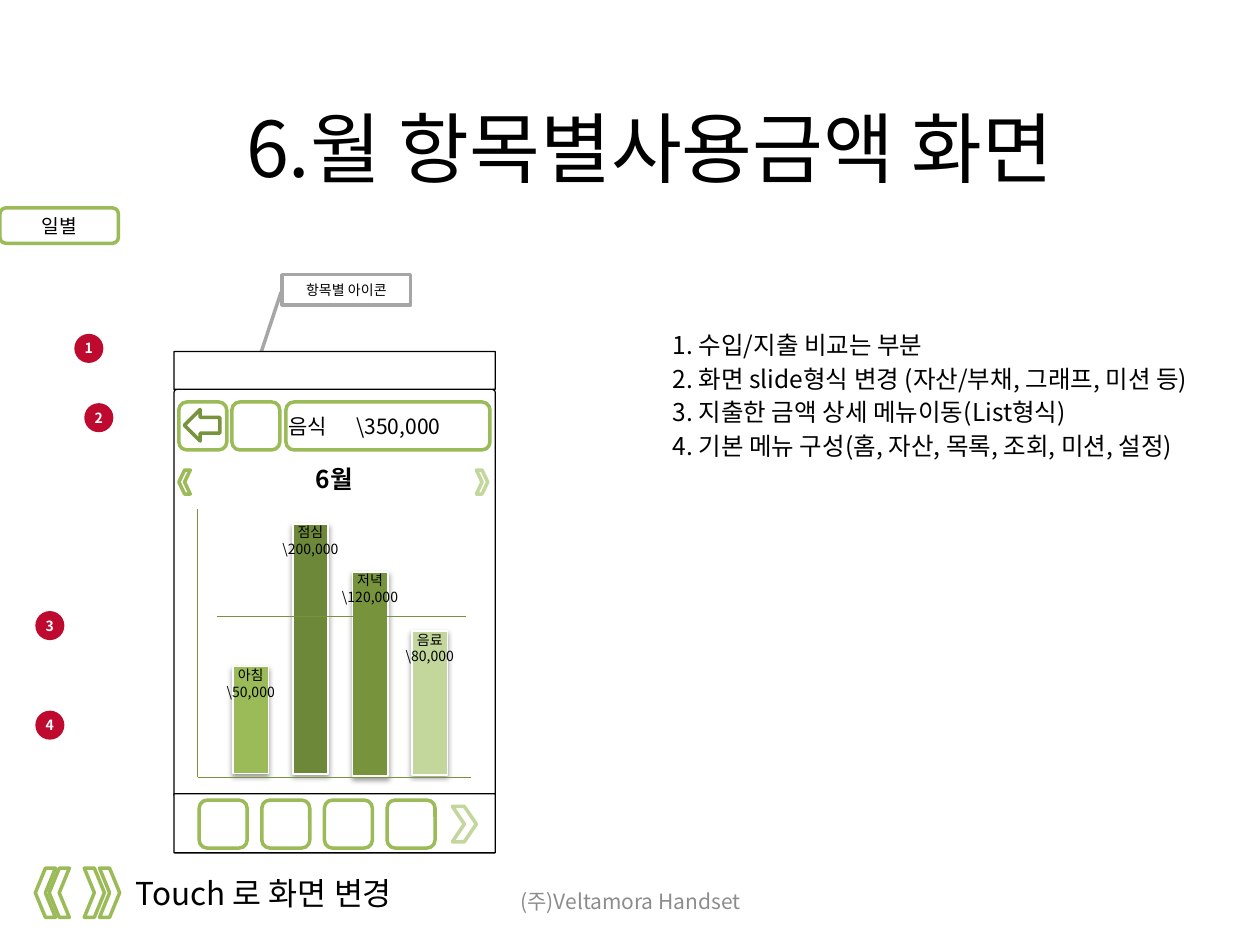
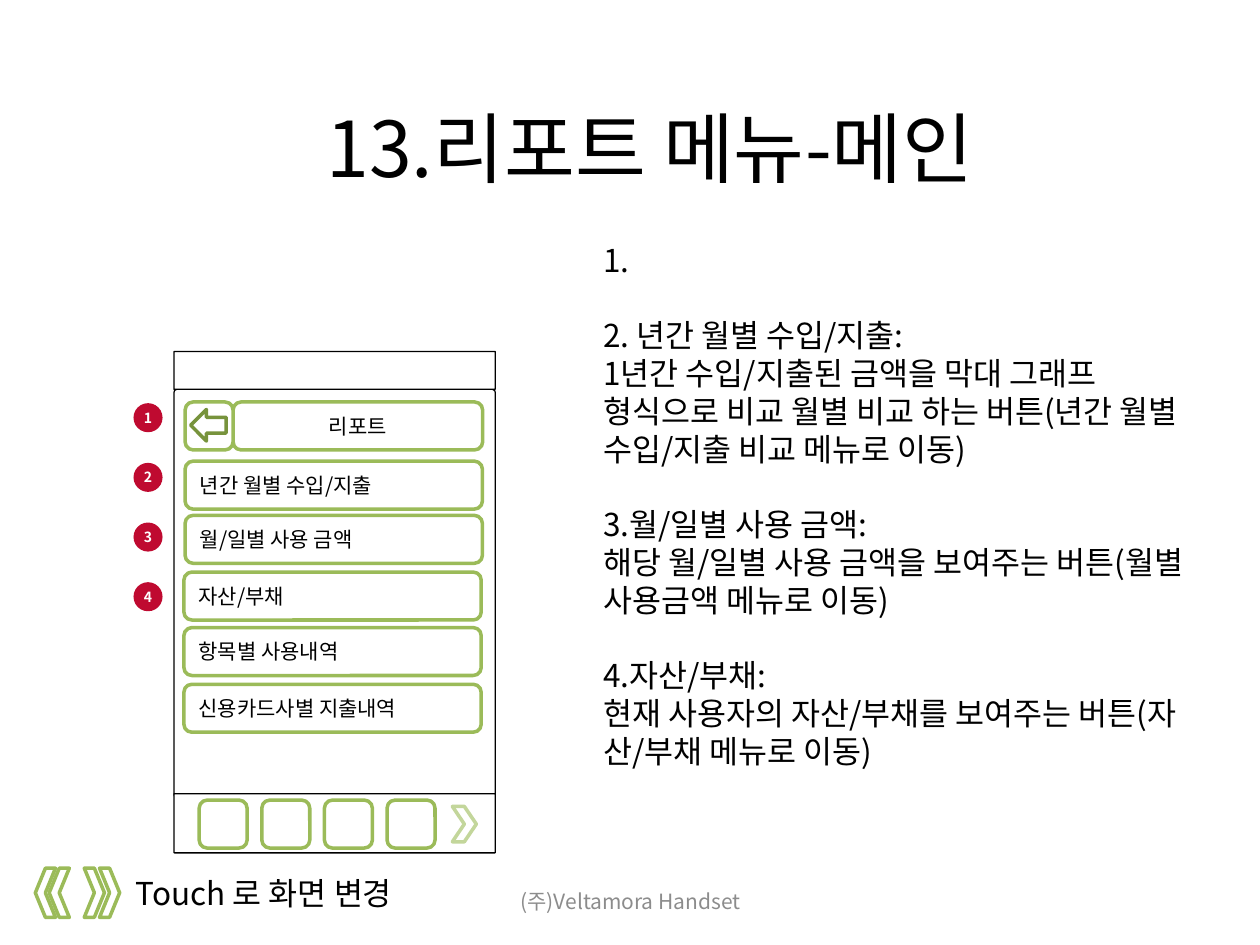
import dataclasses
import typing

import lxml.etree
import pptx
import pptx.dml.color
import pptx.enum.shapes
import pptx.enum.text
import pptx.oxml.ns
import pptx.util

Pt = pptx.util.Pt
Kind = pptx.enum.shapes.MSO_SHAPE
Align = pptx.enum.text.PP_ALIGN
Anchor = pptx.enum.text.MSO_ANCHOR
qn = pptx.oxml.ns.qn

FONT = "Noto Sans CJK KR"
COLORS = {
    "white": "FFFFFF", "black": "000000", "green": "9BBB59",
    "pale": "C3D69B", "olive": "77933C", "moss": "6D8838",
    "red": "BF0A30", "gray": "A6A6A6", "foot": "8C8C8C",
}
ROW = 229.7
SIDE = 27.4


@dataclasses.dataclass(frozen=True)
class Box:
    x: float
    y: float
    w: float
    h: float


@dataclasses.dataclass(frozen=True)
class Bar:
    label: str
    top: float
    high: float
    color: str


@dataclasses.dataclass(frozen=True)
class Badge:
    x: float
    y: float


PANES = [Box(99.4, 222.5, 183.6, 233.3), Box(99.4, 453.6, 183.6, 33.8),
         Box(99.4, 200.9, 183.6, 21.6)]
BARS = [
    Bar("아침\n\\50,000", 380.9, 61.2, "green"),
    Bar("점심\n\\200,000", 299.5, 142.6, "moss"),
    Bar("저녁\n\\120,000", 326.9, 116.6, "olive"),
    Bar("음료\n\\80,000", 360.7, 82.1, "pale"),
]
AXES = [(113, 290.9, 113, 444.2), (113, 444.2, 269.3, 444.2),
        (123.8, 352.1, 266.4, 352.1)]
MENU = [
    ("년간 월별 수입/지출", 105.8, 263.5),
    ("월/일별 사용 금액", 105.8, 294.5),
    ("자산/부채", 105.1, 326.9),
    ("항목별 사용내역", 105.1, 358.6),
    ("신용카드사별 지출내역", 105.1, 391),
]
USAGE = """1. 수입/지출 비교는 부분
2. 화면 slide형식 변경 (자산/부채, 그래프, 미션 등)
3. 지출한 금액 상세 메뉴이동(List형식)
4. 기본 메뉴 구성(홈, 자산, 목록, 조회, 미션, 설정)"""
REPORT = """1.
2. 년간 월별 수입/지출:
1년간 수입/지출된 금액을 막대 그래프
형식으로 비교 월별 비교 하는 버튼(년간 월별 수입/지출 비교 메뉴로 이동)
3.월/일별 사용 금액:
해당 월/일별 사용 금액을 보여주는 버튼(월별 사용금액 메뉴로 이동)
4.자산/부채:
현재 사용자의 자산/부채를 보여주는 버튼(자산/부채 메뉴로 이동)"""


def tint(name: str) -> pptx.dml.color.RGBColor:
    return pptx.dml.color.RGBColor.from_string(COLORS[name])


def write(shape: typing.Any, text: str, *, size: float = 12, color: str = "black",
          bold: bool = False, align: typing.Any = Align.LEFT,
          anchor: typing.Any = Anchor.MIDDLE, wrap: bool = True,
          sides: float = 7.2, ends: float = 3.6,
          gaps: typing.Optional[dict] = None, tab: float = 0) -> None:
    frame = shape.text_frame
    frame.word_wrap = wrap
    frame.vertical_anchor = anchor
    frame.margin_left = frame.margin_right = Pt(sides)
    frame.margin_top = frame.margin_bottom = Pt(ends)
    for i, line in enumerate(text.split("\n")):
        para = frame.add_paragraph() if i else frame.paragraphs[0]
        para.alignment = align
        para.space_before = Pt((gaps or {}).get(i, 0))
        if tab:
            stops = lxml.etree.SubElement(para._p.get_or_add_pPr(), qn("a:tabLst"))
            lxml.etree.SubElement(stops, qn("a:tab"), pos=str(Pt(tab)), algn="l")
        run = para.add_run()
        run.text = line
        run.font.size = Pt(size)
        run.font.bold = bold
        run.font.color.rgb = tint(color)
        run.font.name = FONT
        lxml.etree.SubElement(run.font._element, qn("a:ea"), typeface=FONT)


def note(slide: typing.Any, box: Box, text: str, **form: typing.Any) -> None:
    area = slide.shapes.add_textbox(Pt(box.x), Pt(box.y), Pt(box.w), Pt(box.h))
    write(area, text, **form)


def draw(slide: typing.Any, kind: typing.Any, box: Box, *, fill: str = "white",
         edge: str = "green", width: float = 2) -> typing.Any:
    shape = slide.shapes.add_shape(kind, Pt(box.x), Pt(box.y), Pt(box.w), Pt(box.h))
    shape.shadow.inherit = False
    shape.fill.solid()
    shape.fill.fore_color.rgb = tint(fill)
    if width:
        shape.line.color.rgb = tint(edge)
        shape.line.width = Pt(width)
    else:
        shape.line.fill.background()
    return shape


def button(slide: typing.Any, box: Box, text: str = "", **form: typing.Any) -> None:
    shape = draw(slide, Kind.ROUNDED_RECTANGLE, box)
    if text:
        write(shape, text, **form)


def arrow(slide: typing.Any, box: Box, left: bool = False, edge: str = "green") -> None:
    shape = draw(slide, Kind.CHEVRON, box, edge=edge)
    if left:
        shape.rotation = 180


def mark(slide: typing.Any, badges: list[Badge]) -> None:
    for i, badge in enumerate(badges, 1):
        dot = draw(slide, Kind.OVAL, Box(badge.x, badge.y, 16.6, 16.6),
                   fill="red", width=0)
        write(dot, str(i), size=8, color="white", bold=True, align=Align.CENTER,
              wrap=False, sides=0, ends=0)


def back(slide: typing.Any, x: float) -> None:
    button(slide, Box(x, ROW, SIDE, SIDE))
    draw(slide, Kind.LEFT_ARROW, Box(x + 3.2, 234, 20.2, 18), edge="olive")


def phone(slide: typing.Any) -> None:
    for pane in PANES:
        shape = draw(slide, Kind.ROUNDED_RECTANGLE, pane, edge="black", width=0.75)
        shape.adjustments[0] = 0.01
    for i in range(4):
        button(slide, Box(113.8 + 35.8 * i, 457.2, SIDE, SIDE))
    arrow(slide, Box(258.5, 460.8, 13.7, 20.2), edge="pale")


def start(deck: typing.Any, title: str) -> typing.Any:
    slide = deck.slides.add_slide(deck.slide_layouts[6])
    note(slide, Box(65.5, 25.9, 612, 115.9), title, size=44, align=Align.CENTER)
    for x, left in [(48.2, False), (56.9, False), (28.1, True), (20.2, True)]:
        arrow(slide, Box(x, 496.1, 11.5, 28.1), left)
    note(slide, Box(70.6, 496.1, 179.3, 28.8), "Touch 로 화면 변경", size=18,
         anchor=Anchor.TOP, wrap=False)
    note(slide, Box(246.2, 500.4, 228.2, 28.8), "(주)Veltamora Handset",
         color="foot", align=Align.CENTER)
    return slide


def shade(shape: typing.Any) -> None:
    effect = shape.element.spPr.find(qn("a:effectLst"))
    drop = lxml.etree.SubElement(
        effect, qn("a:outerShdw"), blurRad=str(Pt(3.1)), dist=str(Pt(1.6)),
        dir="5400000", rotWithShape="0")
    tone = lxml.etree.SubElement(drop, qn("a:srgbClr"), val=COLORS["black"])
    lxml.etree.SubElement(tone, qn("a:alpha"), val="38000")


def graph(slide: typing.Any) -> None:
    spots = [133.2 + 34.1 * i for i in range(len(BARS))]
    for x, bar in zip(spots, BARS):
        shade(draw(slide, Kind.RECTANGLE, Box(x, bar.top, 20.2, bar.high),
                   fill=bar.color, edge="white", width=1))
    for ends in AXES:
        line = slide.shapes.add_connector(
            pptx.enum.shapes.MSO_CONNECTOR.STRAIGHT, *map(Pt, ends))
        line.line.color.rgb = tint("olive")
        line.line.width = Pt(0.75)
        lxml.etree.SubElement(line.element.spPr, qn("a:effectLst"))
    for x, bar in zip(spots, BARS):
        note(slide, Box(x - 19.4, bar.top - 3.6, 59, 31.7), bar.label, size=8,
             align=Align.CENTER, anchor=Anchor.TOP, wrap=False)


def usage(deck: typing.Any) -> None:
    slide = start(deck, "6.월 항목별사용금액 화면")
    note(slide, Box(377.3, 185, 334.8, 266.4), USAGE, size=14, anchor=Anchor.TOP,
         gaps={1: 2.4, 2: 2.4, 3: 2.4})
    mark(slide, [Badge(42.5, 190.8), Badge(48.2, 230.4),
                 Badge(20.2, 349.2), Badge(20.2, 406.1)])
    button(slide, Box(0, 118.8, 67.7, 20.2), "일별", size=11, align=Align.CENTER)
    call = draw(slide, Kind.LINE_CALLOUT_1, Box(161.3, 157, 73.4, 17.3), edge="gray")
    for i, value in enumerate([0.58, -0.01, 4.04, -0.28]):
        call.adjustments[i] = value
    write(call, "항목별 아이콘", size=8, align=Align.CENTER)
    phone(slide)
    arrow(slide, Box(272.2, 268.6, 6.5, 13.7), edge="pale")
    arrow(slide, Box(102.2, 268.6, 6.5, 13.7), left=True)
    button(slide, Box(163.4, ROW, 116.6, SIDE), "음식\t\\350,000", sides=0, tab=39)
    button(slide, Box(132.5, ROW, SIDE, SIDE))
    graph(slide)
    note(slide, Box(113, 261.4, 156.2, 28.8), "6월", size=14, bold=True,
         align=Align.CENTER, anchor=Anchor.TOP)
    back(slide, 102.2)


def report(deck: typing.Any) -> None:
    slide = start(deck, "13.리포트 메뉴-메인")
    mark(slide, [Badge(76.3, 230.4 + 34.1 * i) for i in range(4)])
    phone(slide)
    button(slide, Box(133.2, ROW, 142.6, SIDE), "리포트", align=Align.CENTER, sides=0)
    back(slide, 105.8)
    for text, x, y in MENU:
        button(slide, Box(x, y, 169.9, SIDE), text)
    note(slide, Box(337.7, 133.9, 374.4, 334), REPORT, size=18, anchor=Anchor.TOP,
         gaps={1: 21.6, 4: 21.6, 6: 21.6})


def main() -> None:
    deck = pptx.Presentation()
    deck.slide_width, deck.slide_height = Pt(720), Pt(540)
    usage(deck)
    report(deck)
    deck.save("out.pptx")


if __name__ == "__main__":
    main()
